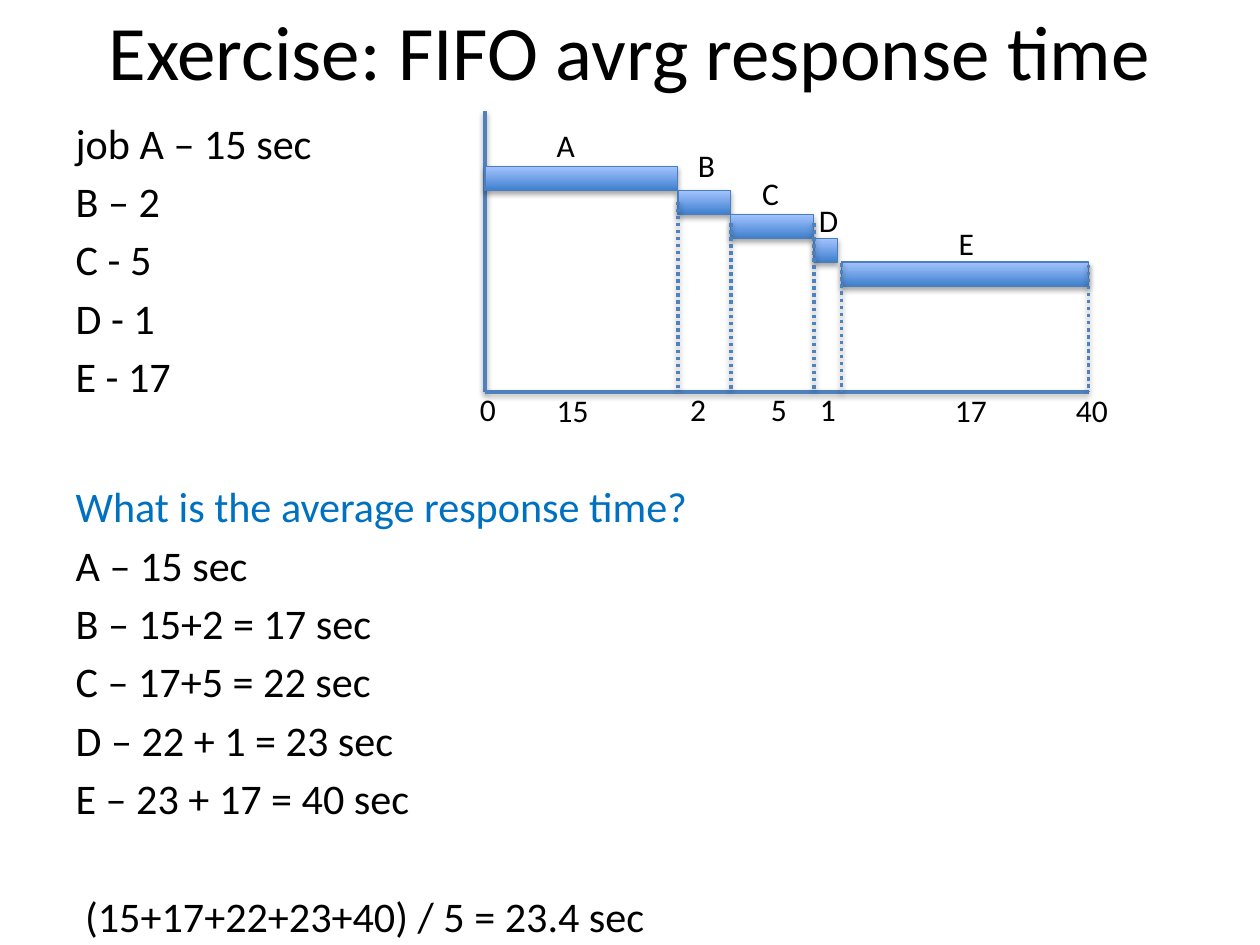
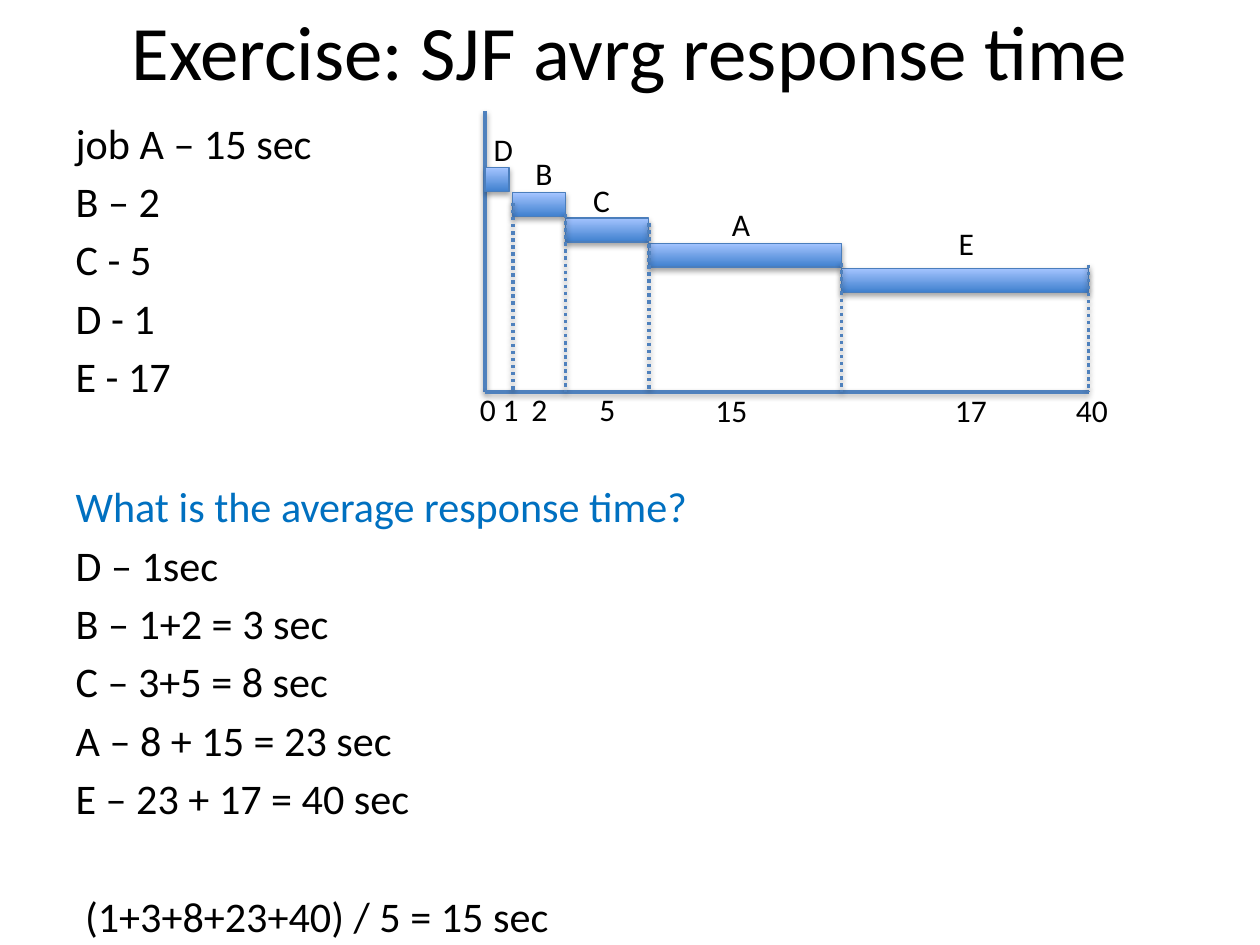
import lxml.etree
import pptx
import pptx.dml.color
import pptx.enum.dml
import pptx.enum.shapes
import pptx.enum.text
import pptx.oxml.ns
import pptx.util

Inches, Pt = pptx.util.Inches, pptx.util.Pt
RGBColor = pptx.dml.color.RGBColor

BLACK = RGBColor(0x00, 0x00, 0x00)
QUESTION_BLUE = RGBColor(0x00, 0x70, 0xC0)
AXIS_BLUE = RGBColor(0x4F, 0x81, 0xBD)
BAR_EDGE = RGBColor(0x4B, 0x7E, 0xBC)
BAR_DARK = RGBColor(0x3F, 0x80, 0xCE)
BAR_LIGHT = RGBColor(0xA4, 0xC4, 0xFF)
FONT = "Calibri"

# Content
JOBS = ["job A – 15 sec", "B – 2", "C - 5", "D - 1", "E - 17"]
QUESTION = "What is the average response time? "
SECONDS = {"A": 15, "B": 2, "C": 5, "D": 1, "E": 17}

# Per job in running order: name, (left, top) of its letter, left of its
# seconds, and top of the dotted line that marks its end.
SCHEDULES = [
    {
        "title": "Exercise: FIFO avrg response time",
        "answers": ["A – 15 sec", "B – 15+2 = 17 sec", "C – 17+5 = 22 sec",
                    "D – 22 + 1 = 23 sec", "E – 23 + 17 = 40 sec"],
        "average": " (15+17+22+23+40) / 5 = 23.4 sec",
        "first_bar": 1.32, "bar_step": 0.19,
        "runs": [("A", (4.32, 0.95), 4.32, 1.6),
                 ("B", (5.44, 1.11), 5.38, 1.77),
                 ("C", (5.95, 1.33), 6.02, 1.77),
                 ("D", (6.4, 1.55), 6.41, 2.09),
                 ("E", (7.51, 1.73), 7.48, 2.1)],
    },
    {
        "title": "Exercise: SJF avrg response time",
        "answers": ["D – 1sec", "B – 1+2 = 3 sec", "C – 3+5 = 8 sec",
                    "A – 8 + 15 = 23 sec", "E – 23 + 17 = 40 sec"],
        "average": " (1+3+8+23+40) / 5 = 15 sec",
        "first_bar": 1.33, "bar_step": 0.2,
        "runs": [("D", (3.82, 0.98), 3.89, 1.61),
                 ("B", (4.15, 1.17), 4.12, 1.7),
                 ("C", (4.61, 1.39), 4.66, 1.77),
                 ("A", (5.71, 1.58), 5.58, 2.09),
                 ("E", (7.51, 1.73), 7.48, 2.1)],
    },
]

# Chart geometry, in inches
AXIS_LEFT, AXIS_TOP, AXIS_BOTTOM = 3.85, 0.88, 3.11
SLOT_WIDTH = {"A": 1.53, "B": 0.42, "C": 0.66, "D": 0.22, "E": 1.96}
AXIS_RIGHT = AXIS_LEFT + sum(SLOT_WIDTH.values())
GAP_AFTER = {"D": 0.03}
BAR_HEIGHT = 0.19
SECONDS_TOP = 3.05

# Body paragraph spacing, in points
LINE_GAP, QUESTION_GAP, AVERAGE_GAP = 4.4, 45.6, 38.7


def add_shadow(item, opacity, distance):
    """Give a shape or line a soft shadow falling straight down."""
    qn = pptx.oxml.ns.qn
    effects = lxml.etree.SubElement(item._element.spPr, qn("a:effectLst"))
    shadow = lxml.etree.SubElement(
        effects, qn("a:outerShdw"), blurRad=str(Pt(3.1)),
        dist=str(Pt(distance)), dir="5400000", rotWithShape="0")
    black = lxml.etree.SubElement(shadow, qn("a:srgbClr"), val="000000")
    lxml.etree.SubElement(black, qn("a:alpha"), val=str(opacity * 1000))


def add_line(slide, start, end, dotted=False):
    """Draw an axis or a dotted time mark."""
    line = slide.shapes.add_connector(
        pptx.enum.shapes.MSO_CONNECTOR.STRAIGHT,
        *(Inches(value) for value in start + end))
    line.line.color.rgb = AXIS_BLUE
    line.line.width = Pt(2)
    if dotted:
        line.line.dash_style = pptx.enum.dml.MSO_LINE.ROUND_DOT
    add_shadow(line, 38, 1.6)


def add_bar(slide, left, top, width):
    """Draw the bar of one running job."""
    bar = slide.shapes.add_shape(
        pptx.enum.shapes.MSO_SHAPE.RECTANGLE,
        *(Inches(value) for value in (left, top, width, BAR_HEIGHT)))
    bar.fill.gradient()
    bar.fill.gradient_angle = 90
    for stop, position, color in zip(bar.fill.gradient_stops, (0, 1),
                                     (BAR_DARK, BAR_LIGHT)):
        stop.position = position
        stop.color.rgb = color
    bar.line.color.rgb = BAR_EDGE
    bar.line.width = Pt(0.75)
    add_shadow(bar, 35, 1.8)


def set_font(paragraph, size, color=BLACK):
    """Apply the common typeface with a size and colour."""
    paragraph.font.name = FONT
    paragraph.font.size = Pt(size)
    paragraph.font.color.rgb = color


def add_label(slide, text, left, top):
    """Write a job letter or a number of seconds."""
    width, height = (0.46, 0.71) if len(text) > 1 else (0.34, 0.4)
    label = slide.shapes.add_textbox(
        *(Inches(value) for value in (left, top, width, height)))
    frame = label.text_frame
    frame.word_wrap = False
    frame.auto_size = pptx.enum.text.MSO_AUTO_SIZE.SHAPE_TO_FIT_TEXT
    frame.text = text
    set_font(frame.paragraphs[0], 18)


def place(placeholder, left, top, width, height):
    """Move a placeholder and stop it from resizing its text."""
    placeholder.left, placeholder.top = Inches(left), Inches(top)
    placeholder.width, placeholder.height = Inches(width), Inches(height)
    placeholder.text_frame.auto_size = pptx.enum.text.MSO_AUTO_SIZE.NONE


def fill_body(frame, schedule):
    """Write the jobs, the question, the answers and the average."""
    rows = [(job, LINE_GAP, BLACK) for job in JOBS]
    rows.append((QUESTION, QUESTION_GAP, QUESTION_BLUE))
    rows += [(answer, LINE_GAP, BLACK) for answer in schedule["answers"]]
    rows.append((schedule["average"], AVERAGE_GAP, BLACK))
    frame.text = "\n".join(text for text, _, _ in rows)
    for paragraph, (_, gap, color) in zip(frame.paragraphs, rows):
        paragraph.space_before = Pt(gap)
        set_font(paragraph, 24.1, color)
        properties = paragraph._p.get_or_add_pPr()
        properties.set("marL", "0")
        properties.set("indent", "0")
        bullet = pptx.oxml.ns.qn("a:buNone")
        properties.find(pptx.oxml.ns.qn("a:spcBef")).addnext(
            properties.makeelement(bullet))


def add_timeline(slide, schedule):
    """Draw the axes, the staircase of bars, the time marks and labels."""
    corner = (AXIS_LEFT, AXIS_BOTTOM)
    add_line(slide, (AXIS_LEFT, AXIS_TOP), corner)
    add_line(slide, corner, (AXIS_RIGHT, AXIS_BOTTOM))

    marks = []
    left = AXIS_LEFT
    for step, (job, _, _, mark_top) in enumerate(schedule["runs"]):
        top = schedule["first_bar"] + step * schedule["bar_step"]
        add_bar(slide, left, top, SLOT_WIDTH[job] - GAP_AFTER.get(job, 0))
        left += SLOT_WIDTH[job]
        marks.append((left, mark_top))
    for mark in marks:
        add_line(slide, mark, (mark[0], AXIS_BOTTOM), dotted=True)

    for job, letter_at, seconds_left, _ in schedule["runs"]:
        add_label(slide, str(SECONDS[job]), seconds_left, SECONDS_TOP)
        add_label(slide, job, *letter_at)
    add_label(slide, "0", 3.71, SECONDS_TOP)
    add_label(slide, str(sum(SECONDS.values())), 8.44, SECONDS_TOP)


def add_exercise(deck, schedule):
    """Build one scheduling exercise slide."""
    slide = deck.slides.add_slide(deck.slide_layouts[1])
    title, body = slide.shapes.title, slide.placeholders[1]
    place(title, 0.5, -0.23, 9, 1.25)
    title.text_frame.text = schedule["title"]
    set_font(title.text_frame.paragraphs[0], 44)
    place(body, 0.5, 0.88, 9, 6.48)
    fill_body(body.text_frame, schedule)
    add_timeline(slide, schedule)


deck = pptx.Presentation()
deck.slide_width, deck.slide_height = Inches(10), Inches(7.5)
for schedule in SCHEDULES:
    add_exercise(deck, schedule)
deck.save("out.pptx")
